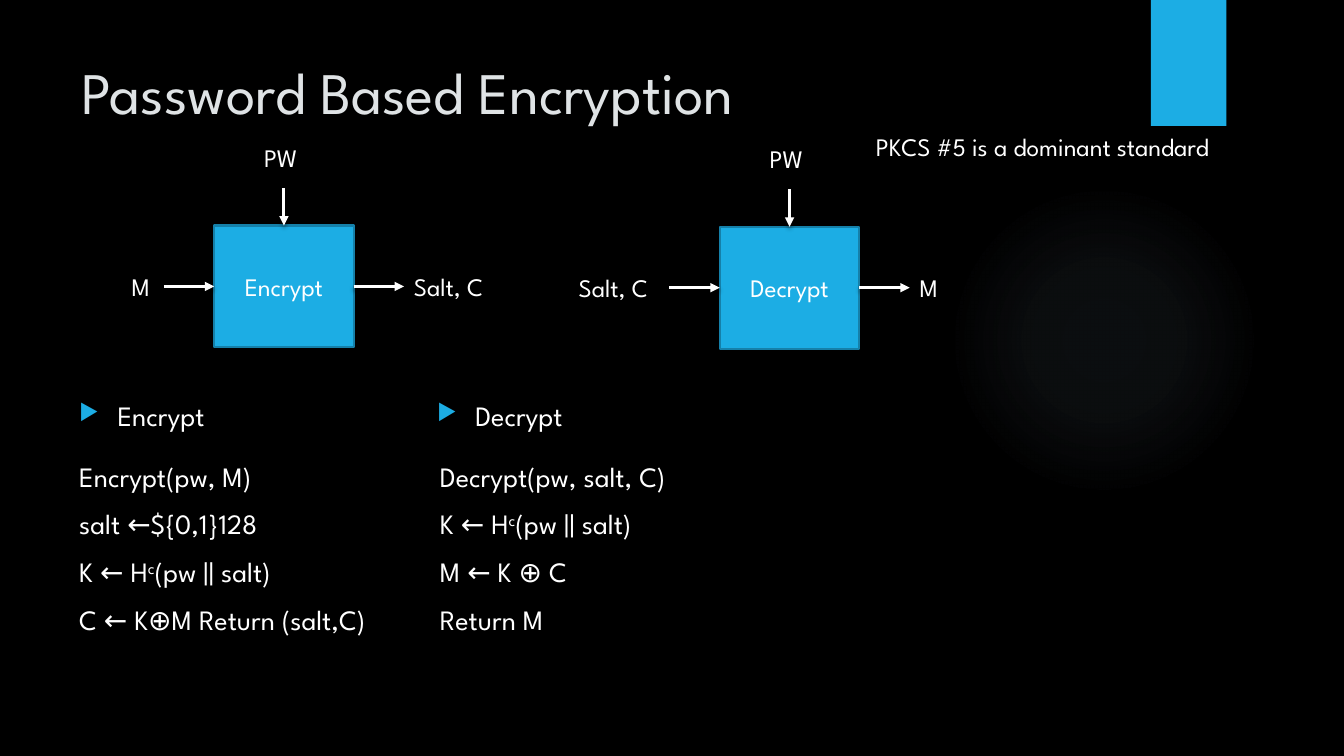
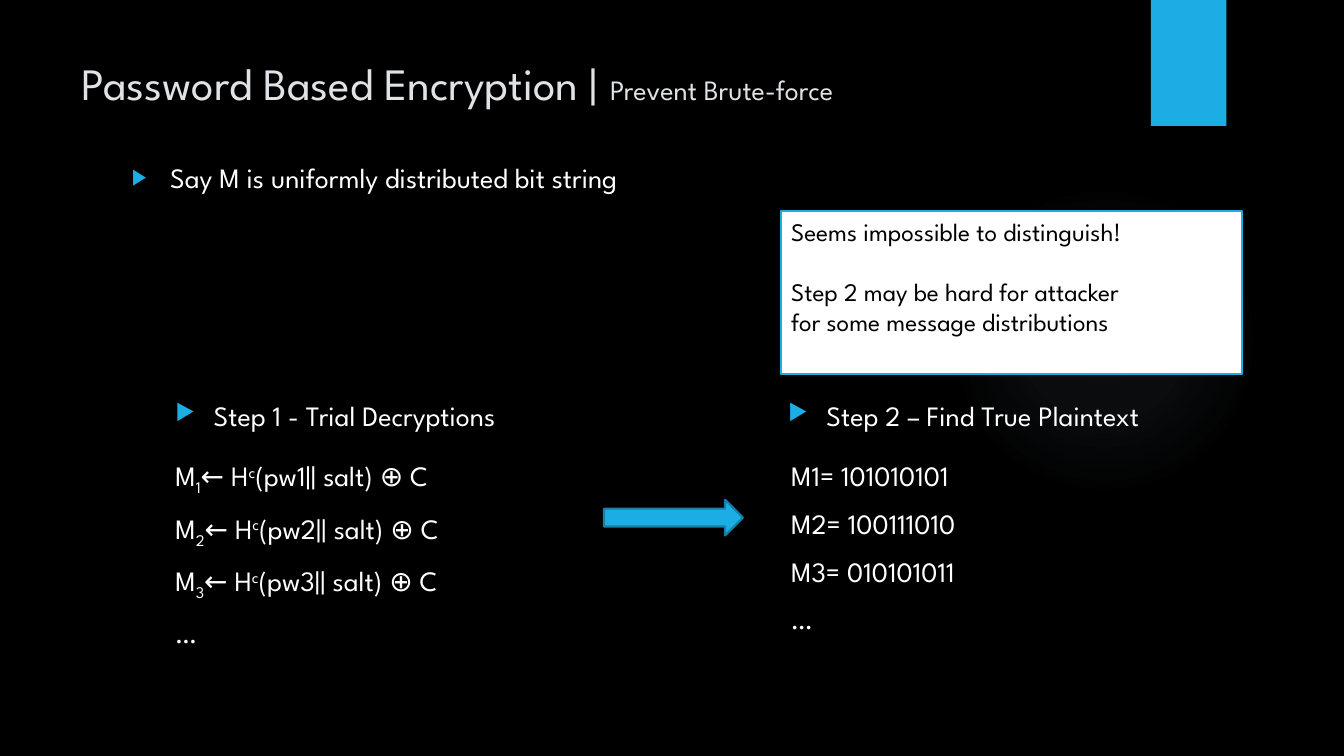
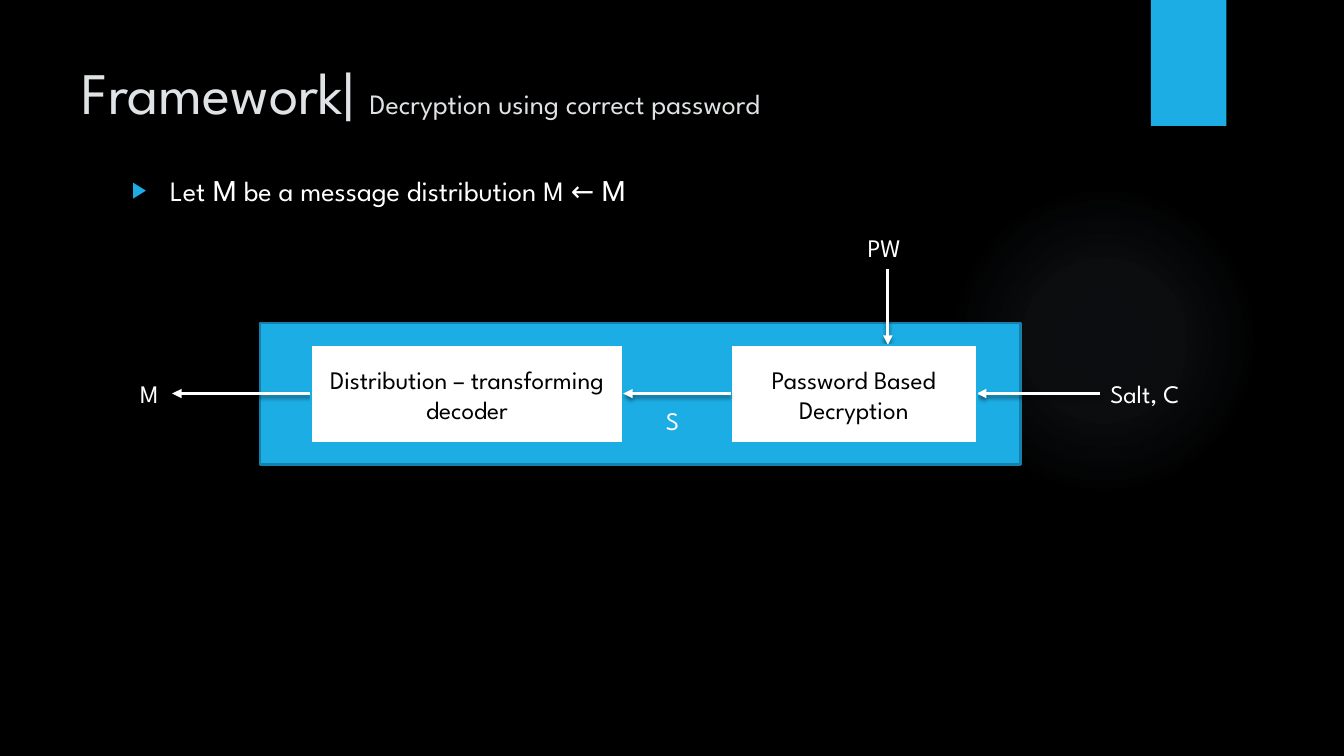
from collections import namedtuple
from dataclasses import dataclass

from lxml.etree import SubElement
from pptx import Presentation
from pptx.dml.color import RGBColor
from pptx.enum.shapes import MSO_CONNECTOR, MSO_SHAPE
from pptx.enum.text import MSO_ANCHOR, MSO_AUTO_SIZE, PP_ALIGN
from pptx.oxml import parse_xml
from pptx.oxml.ns import nsdecls, qn
from pptx.util import Inches, Pt


@dataclass(frozen=True)
class Theme:
    black: str = "000000"
    white: str = "FFFFFF"
    blue: str = "1CADE4"
    edge: str = "1580A9"
    title: str = "DFE3E5"
    haze: str = "A0C1D5"
    font: str = "League Spartan"
    math: str = "Roboto"
    big: int = 42
    mid: int = 32
    body: int = 20
    note: int = 18
    rule: float = 1.5
    wire: float = 2.25
    gap: int = 10


T = Theme()

# Grid of square cells: 32 columns by 18 rows
COLS, ROWS = 32, 18
CELL = Inches(7.5) / ROWS
LINE = 0.97  # height of a one-line label

Box = namedtuple("Box", "x y w h")
SUP, SUB = {"base": 30}, {"base": -25}
SMALL, MATH = {"size": T.body}, {"font": T.math}


def cells(*nums):
    return [round(n * CELL) for n in nums]


def rgb(code):
    return RGBColor.from_string(code)


# Text: each paragraph is a string or a list of runs; a run is text or (text, format)
def write(frame, *paras, size=T.note, color=T.white, font=T.font, align=PP_ALIGN.LEFT,
          anchor=MSO_ANCHOR.TOP, before=0, after=0, bullet=False):
    frame.word_wrap = True
    frame.auto_size = MSO_AUTO_SIZE.NONE
    frame.vertical_anchor = anchor
    for i, runs in enumerate(paras):
        para = frame.add_paragraph() if i else frame.paragraphs[0]
        para.alignment = align
        para.space_before, para.space_after = Pt(before), Pt(after)
        if bullet:
            mark(para)
        for part in [runs] if isinstance(runs, str) else runs:
            words, fmt = (part, {}) if isinstance(part, str) else part
            run = para.add_run()
            run.text = words
            run.font.size = Pt(fmt.get("size", size))
            run.font.name = fmt.get("font", font)
            run.font.color.rgb = rgb(color)
            if "base" in fmt:
                run.font._element.set("baseline", str(fmt["base"] * 1000))


def mark(para):
    props = para._p.get_or_add_pPr()
    props.set("marL", str(Inches(0.38)))
    props.set("indent", str(-Inches(0.38)))
    SubElement(SubElement(props, qn("a:buClr")), qn("a:srgbClr"), val=T.blue)
    SubElement(props, qn("a:buSzPct"), val="80000")
    SubElement(props, qn("a:buChar"), char="▶")


# Basic parts
def label(slide, box, *paras, **fmt):
    text = slide.shapes.add_textbox(*cells(*box))
    write(text.text_frame, *paras, **fmt)


def block(slide, box, *paras, kind=MSO_SHAPE.RECTANGLE, fill=T.blue, line=T.edge, **fmt):
    shape = slide.shapes.add_shape(kind, *cells(*box))
    shape.fill.solid()
    shape.fill.fore_color.rgb = rgb(fill)
    if line:
        shape.line.color.rgb = rgb(line)
        shape.line.width = Pt(T.rule)
    else:
        shape.line.fill.background()
    shape.shadow.inherit = False
    if paras:
        style = {"align": PP_ALIGN.CENTER, "anchor": MSO_ANCHOR.MIDDLE}
        write(shape.text_frame, *paras, **{**style, **fmt})
    return shape


def shade(props):
    for old in props.findall(qn("a:effectLst")):
        props.remove(old)
    drop = SubElement(SubElement(props, qn("a:effectLst")), qn("a:outerShdw"),
                      blurRad=str(Pt(3)), dist=str(Pt(2)), dir="5400000", rotWithShape="0")
    tint = SubElement(drop, qn("a:srgbClr"), val=T.black)
    SubElement(tint, qn("a:alpha"), val="45000")


def arrow(slide, *ends):
    wire = slide.shapes.add_connector(MSO_CONNECTOR.STRAIGHT, *cells(*ends))
    wire.line.color.rgb = rgb(T.white)
    wire.line.width = Pt(T.wire)
    SubElement(wire.line._get_or_add_ln(), qn("a:tailEnd"), type="triangle")
    shade(wire._element.spPr)


# Shared master: background, soft glow and corner band
def dress(deck, slide):
    master = deck.slide_master
    master.background.fill.solid()
    master.background.fill.fore_color.rgb = rgb(T.black)
    glow = block(slide, Box(22.58, 4.4, 7.4, 7.4), kind=MSO_SHAPE.OVAL, line=None)
    stops = "".join(
        f'<a:gs pos="{pos}000"><a:srgbClr val="{T.haze}"><a:alpha val="{see}000"/></a:srgbClr></a:gs>'
        for pos, see in ((0, 7), (36, 6), (69, 0)))
    fade = parse_xml(
        f'<a:gradFill {nsdecls("a")}><a:gsLst>{stops}</a:gsLst><a:path path="circle">'
        '<a:fillToRect l="50000" t="50000" r="50000" b="50000"/></a:path></a:gradFill>')
    props = glow._element.spPr
    props.replace(props.find(qn("a:solidFill")), fade)
    band = block(slide, Box(27.4, 0, 1.8, 3), line=None)
    shade(band._element.spPr)
    for i, shape in enumerate((glow, band)):
        master.shapes._spTree.insert(2 + i, shape._element)


# Placeholders
def place(shape, box, *paras, **fmt):
    shape.left, shape.top, shape.width, shape.height = cells(*box)
    write(shape.text_frame, *paras, **fmt)


def start(deck, layout, title, size=T.big):
    slide = deck.slides.add_slide(deck.slide_layouts.get_by_name(layout))
    place(slide.shapes.title, Box(1.7, 1.2, 24.7, 3.67), title, size=size, color=T.title)
    return slide


def point(slide, top, high, text):
    place(slide.placeholders[1], Box(2.9, top, 23.47, high), text,
          size=T.body, before=T.gap, bullet=True)


# Regions
def cipher(slide, box, name, left, right, wide):
    """A box with a password from above, an input and an output."""
    reach, drop = 1.2, 0.89
    mid, end = box.y + box.h / 2, box.x + box.w
    block(slide, box, name)
    label(slide, Box(box.x + 0.95, box.y - 2.1, 1.42, LINE), "PW")
    label(slide, Box(box.x - reach - wide[0], mid - LINE / 2, wide[0], LINE), left)
    label(slide, Box(end + reach, mid - LINE / 2, wide[1], LINE), right)
    arrow(slide, box.x + box.w / 2, box.y - drop, box.x + box.w / 2, box.y)
    arrow(slide, box.x - reach, mid, box.x, mid)
    arrow(slide, end, mid, end + reach, mid)


def steps(slide, box, head, lines, shift=0):
    """A bulleted heading over lines of pseudocode."""
    label(slide, box._replace(h=1.5), head, size=T.body, before=T.gap, bullet=True)
    code = Box(box.x + shift, box.y + 1.45, box.w, box.h - 1.45)
    label(slide, code, *lines, size=T.body, before=T.gap)


def frame(slide, box):
    """Decoder pipeline, running from right to left."""
    mid, end = box.y + box.h / 2, box.x + box.w
    left = Box(box.x + 1.2, box.y + 0.53, 7.44, 2.35)
    right = left._replace(x=box.x + 11.2, w=5.86)
    out, come, key = box.x - 2.1, end + 1.9, box.x + 14.94
    block(slide, box)
    label(slide, Box(key - 0.72, box.y - 2.26, 1.42, LINE), "PW")
    label(slide, Box(out - 1, mid - LINE / 2, 1, LINE), "M")
    label(slide, Box(come, mid - LINE / 2, 2.47, LINE), "Salt, C")
    arrow(slide, key, box.y - 1.27, key, right.y)
    arrow(slide, left.x, mid, out, mid)
    arrow(slide, come, mid, right.x + right.w, mid)
    for part, name in ((left, "Distribution – transforming decoder"),
                       (right, "Password Based Decryption")):
        block(slide, part, name, fill=T.white, line=T.blue, color=T.black)
    arrow(slide, right.x, mid, left.x + left.w, mid)
    label(slide, Box(box.x + 9.42, mid + 0.16, 1, LINE), "S")


# Slides
def basics(deck):
    slide = start(deck, "Title Only", "Password Based Encryption")
    dress(deck, slide)
    label(slide, Box(20.62, 3.02, 10.3, LINE), "PKCS #5 is a dominant standard")
    core = Box(5.1, 5.37, 3.32, 2.9)
    cipher(slide, core, "Encrypt", "M", "Salt, C", (1, 2.47))
    cipher(slide, core._replace(x=17.14, y=5.4), "Decrypt", "Salt, C", "M", (2.4, 1))
    derive = ["K ← H", ("c", SUP), "(pw || salt)"]
    area = Box(1.65, 9.37, 7.73, 7.59)
    steps(slide, area, "Encrypt",
          ["Encrypt(pw, M)", "salt ←${0,1}128", derive, "C ← K⊕M Return (salt,C)"])
    steps(slide, area._replace(x=10.17), "Decrypt",
          ["Decrypt(pw, salt, C)", derive, "M ← K ⊕ C", "Return M"], shift=0.07)


def force(deck):
    slide = start(deck, "Title and Content",
                  ["Password Based Encryption | ", ("Prevent Brute-force", SMALL)], T.mid)
    point(slide, 3.7, 3.17, "Say M is uniformly distributed bit string")
    trial = [["M", (str(n), SUB), "← H", ("c", SUP), f"(pw{n}|| salt) ⊕ C"]
             for n in (1, 2, 3)]
    found = [f"M{n}= {bits}"
             for n, bits in enumerate(("101010101", "100111010", "010101011"), 1)]
    area = Box(3.94, 9.36, 10.4, 7.59)
    steps(slide, area, "Step 1 - Trial Decryptions", trial + ["…"])
    steps(slide, area._replace(x=18.53), "Step 2 – Find True Plaintext",
          found + ["…"], shift=0.07)
    block(slide, Box(14.38, 11.9, 3.31, 0.85), kind=MSO_SHAPE.RIGHT_ARROW)
    note = block(slide, Box(18.6, 5.02, 10.97, 3.89), "Seems impossible to distinguish!",
                 "Step 2 may be hard for attacker for some message distributions",
                 fill=T.white, line=T.blue, color=T.black, align=PP_ALIGN.LEFT,
                 anchor=MSO_ANCHOR.TOP, after=21.5)
    note.text_frame.margin_right = Inches(1)


def scheme(deck):
    slide = start(deck, "Title and Content",
                  ["Framework| ", ("Decryption using correct password", SMALL)])
    point(slide, 4, 11, ["Let ", ("M", MATH), " be a message distribution M ← ", ("M", MATH)])
    frame(slide, Box(6.2, 7.68, 18.1, 3.38))


def main():
    deck = Presentation()
    deck.slide_width, deck.slide_height = cells(COLS, ROWS)
    for build in (basics, force, scheme):
        build(deck)
    deck.save("out.pptx")


if __name__ == "__main__":
    main()
